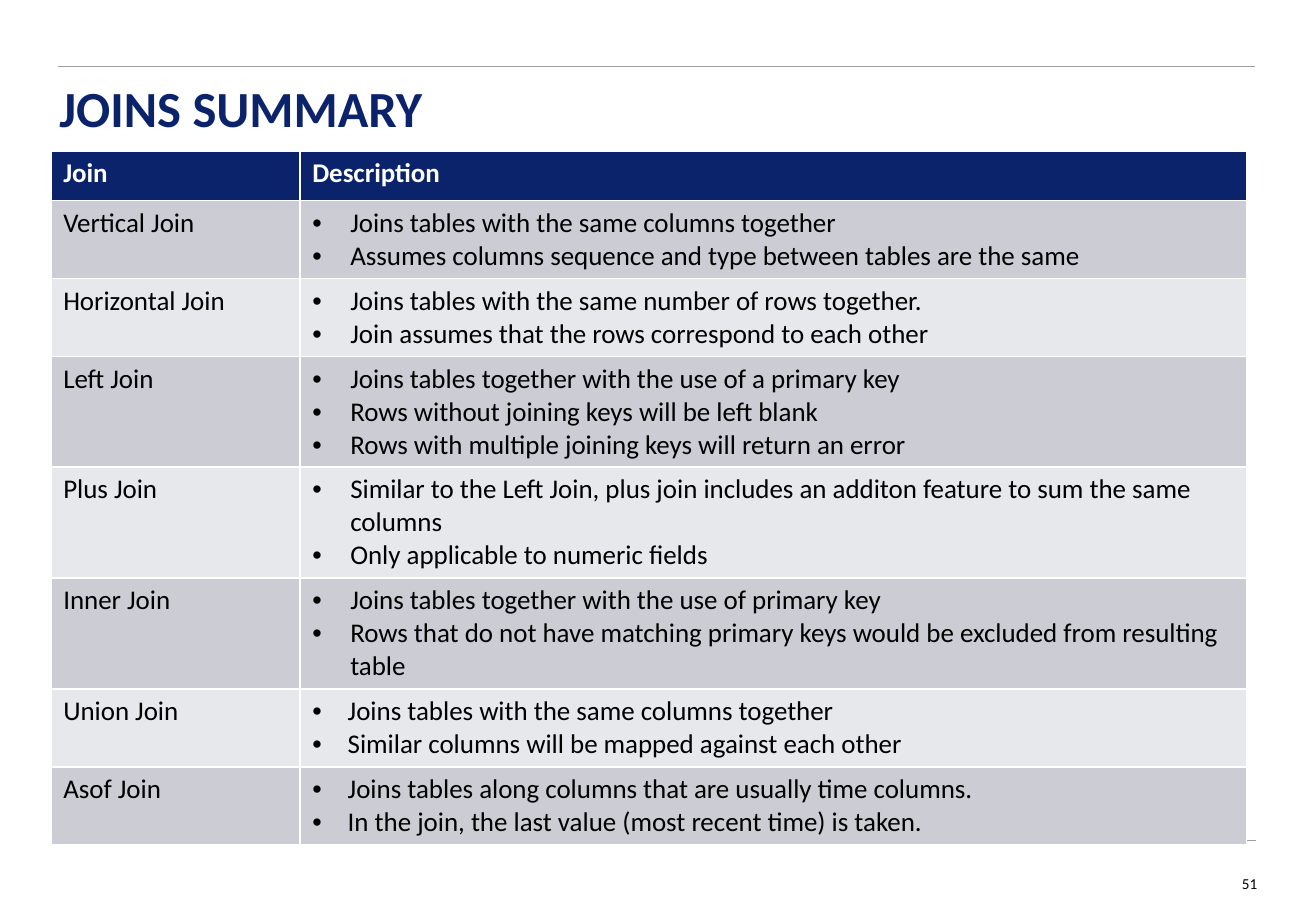
"""Build the joins summary slide: a title, a two-column table and a page number."""
from lxml import etree
from pptx import Presentation
from pptx import util as u
from pptx.dml.color import RGBColor
from pptx.enum import shapes, text
from pptx.oxml.ns import qn

Pt = u.Pt
NAVY, WHITE, BLACK, RULE = "0B236B", "FFFFFF", "000000", "9C9E9F"
BANDS = ["CCCDD4", "E7E8EB"]
HEADER_H, LINE_H, CELL_PAD = 29.2, 19.53, 7.2

JOINS = [
    ("Vertical Join", 2, 22.5, [
        "Joins tables with the same columns together",
        "Assumes columns sequence and type between tables are the same"]),
    ("Horizontal Join", 2, 22.5, [
        "Joins tables with the same number of rows together.",
        "Join assumes that the rows correspond to each other"]),
    ("Left Join", 3, 22.5, [
        "Joins tables together with the use of a primary key",
        "Rows without joining keys will be left blank",
        "Rows with multiple joining keys will return an error"]),
    ("Plus Join", 3, 22.5, [
        "Similar to the Left Join, plus join includes an additon feature to sum the same columns",
        "Only applicable to numeric fields"]),
    ("Inner Join", 3, 22.5, [
        "Joins tables together with the use of primary key",
        "Rows that do not have matching primary keys would be excluded from resulting table"]),
    ("Union Join", 2, 21, [
        "Joins tables with the same columns together",
        "Similar columns will be mapped against each other"]),
    ("Asof Join", 2, 21, [
        "Joins tables along columns that are usually time columns.",
        "In the join, the last value (most recent time) is taken."]),
]


def rgb(value):
    return RGBColor.from_string(value)


def write(tf, lines, size, color, bold=False):
    tf.text = "\n".join(lines)
    for p in tf.paragraphs:
        for r in p.runs:
            r.font.name, r.font.size, r.font.bold = "Calibri", Pt(size), bold
            r.font.color.rgb = rgb(color)


prs = Presentation()
prs.slide_width, prs.slide_height = Pt(780), Pt(540)
s = prs.slides.add_slide(prs.slide_layouts[6])

for x, y in [(35.3, 498.3), (34.6, 39.6)]:
    ln = s.shapes.add_connector(shapes.MSO_CONNECTOR.STRAIGHT, Pt(x), Pt(y), Pt(x + 709.2), Pt(y))
    ln.line.color.rgb = rgb(RULE)
    ln.line.width = Pt(0.5)
    etree.SubElement(ln._element.spPr, qn("a:effectLst"))

for label, box, size, color, bold, align, anchor in [
    ("JOINS SUMMARY", (35.3, 49.7, 708.5, 64), 30, NAVY, True,
     text.PP_ALIGN.LEFT, text.MSO_ANCHOR.TOP),
    ("51", (712.8, 519.1, 32.4, 8.6), 9, BLACK, False,
     text.PP_ALIGN.RIGHT, text.MSO_ANCHOR.MIDDLE),
]:
    tf = s.shapes.add_textbox(*map(Pt, box)).text_frame
    tf.margin_left = tf.margin_top = tf.margin_right = tf.margin_bottom = 0
    tf.word_wrap = True
    tf.vertical_anchor = anchor
    write(tf, [label], size, color, bold)
    tf.paragraphs[0].alignment = align
    if bold:
        tf.paragraphs[0].line_spacing = 0.9

heights = [HEADER_H] + [CELL_PAD + LINE_H * lines for _, lines, _, _ in JOINS]
tbl = s.shapes.add_table(len(heights), 2, Pt(30.3), Pt(89.5), Pt(708.5), Pt(sum(heights))).table
tbl.horz_banding = False
for col, width in zip(tbl.columns, [147.6, 560.9]):
    col.width = Pt(width)
for row, height in zip(tbl.rows, heights):
    row.height = Pt(height)

for c, heading in enumerate(["Join", "Description"]):
    cell = tbl.cell(0, c)
    cell.fill.solid()
    cell.fill.fore_color.rgb = rgb(NAVY)
    write(cell.text_frame, [heading], 16, WHITE, True)

for i, (name, _, indent, points) in enumerate(JOINS):
    for c, lines in enumerate([[name], points]):
        cell = tbl.cell(i + 1, c)
        cell.fill.solid()
        cell.fill.fore_color.rgb = rgb(BANDS[i % 2])
        write(cell.text_frame, lines, 16, BLACK)
    for p in tbl.cell(i + 1, 1).text_frame.paragraphs:
        pPr = p._p.get_or_add_pPr()
        pPr.set("marL", str(Pt(indent)))
        pPr.set("indent", str(-Pt(indent)))
        etree.SubElement(pPr, qn("a:buFont")).set("typeface", "Arial")
        etree.SubElement(pPr, qn("a:buChar")).set("char", "•")

prs.save("out.pptx")
